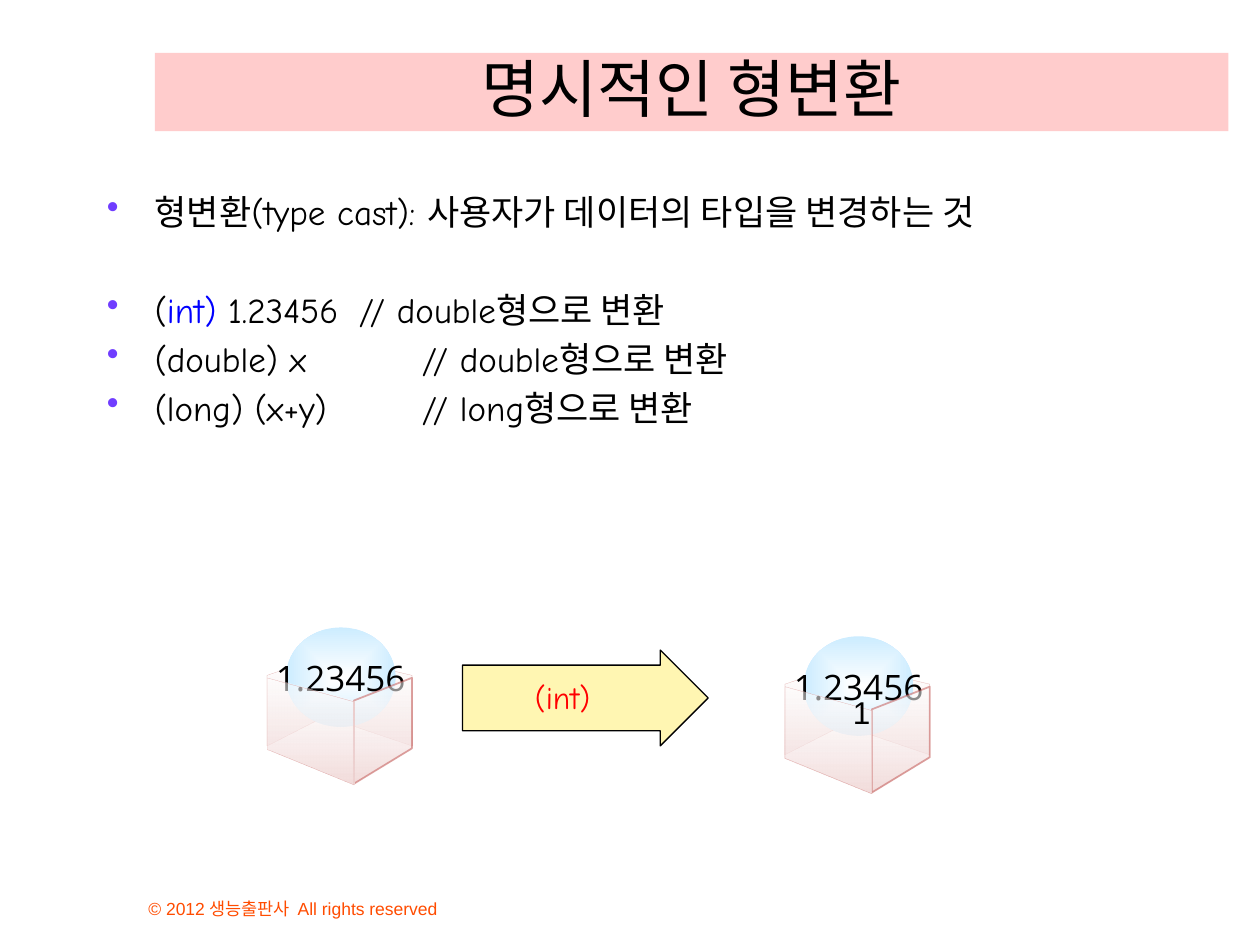
"""Build a slide on explicit type conversion with a casting diagram."""
from lxml import etree
from pptx import Presentation
from pptx.dml.color import RGBColor
from pptx.enum.shapes import MSO_SHAPE
from pptx.enum.text import MSO_ANCHOR, PP_ALIGN
from pptx.oxml import parse_xml
from pptx.oxml.ns import nsdecls, qn
from pptx.util import Inches, Pt

RECTANGLE, OVAL, ARROW = MSO_SHAPE.RECTANGLE, MSO_SHAPE.OVAL, MSO_SHAPE.RIGHT_ARROW
TOP, MIDDLE, BOTTOM = MSO_ANCHOR.TOP, MSO_ANCHOR.MIDDLE, MSO_ANCHOR.BOTTOM
LEFT, CENTER = PP_ALIGN.LEFT, PP_ALIGN.CENTER

BLACK = RGBColor(0x00, 0x00, 0x00)
WHITE = RGBColor(0xFF, 0xFF, 0xFF)
RED = RGBColor(0xFF, 0x00, 0x00)
BLUE = RGBColor(0x00, 0x00, 0xFF)
ORANGE = RGBColor(0xFF, 0x4C, 0x00)
VIOLET = RGBColor(0x70, 0x3D, 0xFF)
PINK = RGBColor(0xFF, 0xCC, 0xCC)
YELLOW = RGBColor(0xFF, 0xEF, 0x66)
SKY = RGBColor(0xCC, 0xEC, 0xFF)
ROSE = RGBColor(0xF2, 0xDC, 0xDB)
BRICK = RGBColor(0xC0, 0x50, 0x4D)

HAND, SANS, PLAIN = "Comic Neue", "Open Sans", "Arial"

TITLE = "명시적인 형변환"
COPYRIGHT = "© 2012 생능출판사  All rights reserved"
BULLETS = [
    (0, [("형변환(type cast): 사용자가 데이터의 타입을 변경하는 것", BLACK)]),
    (32, [("(", BLACK), ("int) ", BLUE), ("1.23456\t// double형으로 변환", BLACK)]),
    (4, [("(double) x \t\t// double형으로 변환", BLACK)]),
    (4, [("(long) (x+y) \t\t// long형으로 변환", BLACK)]),
]
VALUE, CAST, RESULT = "1.23456", "(int)", "1"

CRATES = [(2.12, 4.98), (6.23, 5.05)]
BACK_FACES = [
    (0.1, [(0.47, 0.22), (0.47, 0.7), (0.5, 0.72), (1.15, 0.94), (1.15, 0.38)]),
    (0.1, [(0, 0.94), (0.47, 0.7), (0.47, 0.22), (0, 0.38)]),
]
FRONT_FACES = [
    (1, [(0.69, 1.24), (1.15, 0.96), (1.15, 0.4), (0.69, 0.58)]),
    (0.1, [(0, 0.4), (0, 0.97), (0.03, 0.98), (0.69, 1.25), (0.69, 0.59)]),
]
LINEAR = '<a:lin ang="5400000" scaled="0"/>'
RADIAL = ('<a:path path="shape"><a:fillToRect l="50000" t="50000" '
          'r="50000" b="50000"/></a:path>')


def set_alpha(fill, percent):
    color = fill._xPr.find(qn("a:solidFill"))[0]
    etree.SubElement(color, qn("a:alpha")).set("val", str(percent * 1000))


def set_gradient(shape, end, direction, start_alpha=100):
    shape.fill.gradient()
    properties = shape._element.spPr
    gradient = parse_xml(
        f'<a:gradFill {nsdecls("a")} rotWithShape="1"><a:gsLst>'
        f'<a:gs pos="0"><a:srgbClr val="{WHITE}">'
        f'<a:alpha val="{start_alpha * 1000}"/></a:srgbClr></a:gs>'
        f'<a:gs pos="100000"><a:srgbClr val="{end}"/></a:gs>'
        f'</a:gsLst>{direction}</a:gradFill>')
    properties.replace(properties.find(qn("a:gradFill")), gradient)


def write(shape, text, size, font, color, align, anchor, wrap=True):
    frame = shape.text_frame
    frame.text = text
    frame.word_wrap = wrap
    frame.vertical_anchor = anchor
    paragraph = frame.paragraphs[0]
    paragraph.alignment = align
    style(paragraph.runs[0], size, font, color)


def style(span, size, font, color):
    span.font.size = Pt(size)
    span.font.name = font
    span.font.color.rgb = color


def add_shape(page, kind, *bounds):
    shape = page.shapes.add_shape(kind, *map(Inches, bounds))
    shape.shadow.inherit = False
    shape.line.fill.background()
    return shape


def add_label(page, bounds, *text_style):
    box = page.shapes.add_textbox(*map(Inches, bounds))
    write(box, *text_style)


def add_bullets(page):
    frame = page.shapes.add_textbox(
        Inches(0.75), Inches(1.46), Inches(8.98), Inches(2.55)).text_frame
    frame.word_wrap = True
    for index, (gap, spans) in enumerate(BULLETS):
        paragraph = frame.add_paragraph() if index else frame.paragraphs[0]
        paragraph.space_before = Pt(gap)
        properties = paragraph._p.get_or_add_pPr()
        properties.set("marL", str(Inches(0.38)))
        properties.set("indent", str(-Inches(0.38)))
        bullet_color = etree.SubElement(properties, qn("a:buClr"))
        etree.SubElement(bullet_color, qn("a:srgbClr")).set("val", str(VIOLET))
        etree.SubElement(properties, qn("a:buChar")).set("char", "•")
        for text, color in spans:
            span = paragraph.add_run()
            span.text = text
            style(span, 20, HAND, color)


def add_faces(page, left, top, faces):
    for width, points in faces:
        corners = [(Inches(left + x), Inches(top + y)) for x, y in points]
        builder = page.shapes.build_freeform(*corners[0])
        builder.add_line_segments(corners[1:], close=True)
        face = builder.convert_to_shape()
        face.shadow.inherit = False
        set_gradient(face, ROSE, LINEAR, 50)
        face.line.color.rgb = BRICK
        face.line.width = Pt(width)
        set_alpha(face.line.fill, 50)


def add_crate(page, left, top):
    add_faces(page, left, top, BACK_FACES)
    ball = add_shape(page, OVAL, left + 0.15, top, 0.87, 0.79)
    set_gradient(ball, SKY, RADIAL)
    write(ball, VALUE, 20, SANS, BLACK, CENTER, MIDDLE, False)
    add_faces(page, left, top, FRONT_FACES)


def add_arrow(page):
    arrow = add_shape(page, ARROW, 3.67, 5.16, 1.95, 0.76)
    arrow.adjustments[0] = 0.685
    arrow.fill.solid()
    arrow.fill.fore_color.rgb = YELLOW
    set_alpha(arrow.fill, 50)
    arrow.line.color.rgb = BLACK
    arrow.line.width = Pt(0.75)
    add_label(page, (4.11, 5.33, 0.71, 0.4), CAST, 18, HAND, RED, CENTER, MIDDLE, False)


def main():
    deck = Presentation()
    deck.slide_width, deck.slide_height = Inches(10), Inches(7.5)
    page = deck.slides.add_slide(deck.slide_layouts[6])
    add_label(page, (1.08, 6.92, 3.83, 0.42), COPYRIGHT, 10, PLAIN, ORANGE, LEFT, BOTTOM)
    title = add_shape(page, RECTANGLE, 1.23, 0.42, 8.52, 0.62)
    title.fill.solid()
    title.fill.fore_color.rgb = PINK
    write(title, TITLE, 36, HAND, BLACK, CENTER, BOTTOM)
    add_bullets(page)
    add_arrow(page)
    for left, top in CRATES:
        add_crate(page, left, top)
    add_label(page, (6.67, 5.45, 0.56, 0.4), RESULT, 18, PLAIN, BLACK, LEFT, TOP)
    deck.save("out.pptx")


if __name__ == "__main__":
    main()
